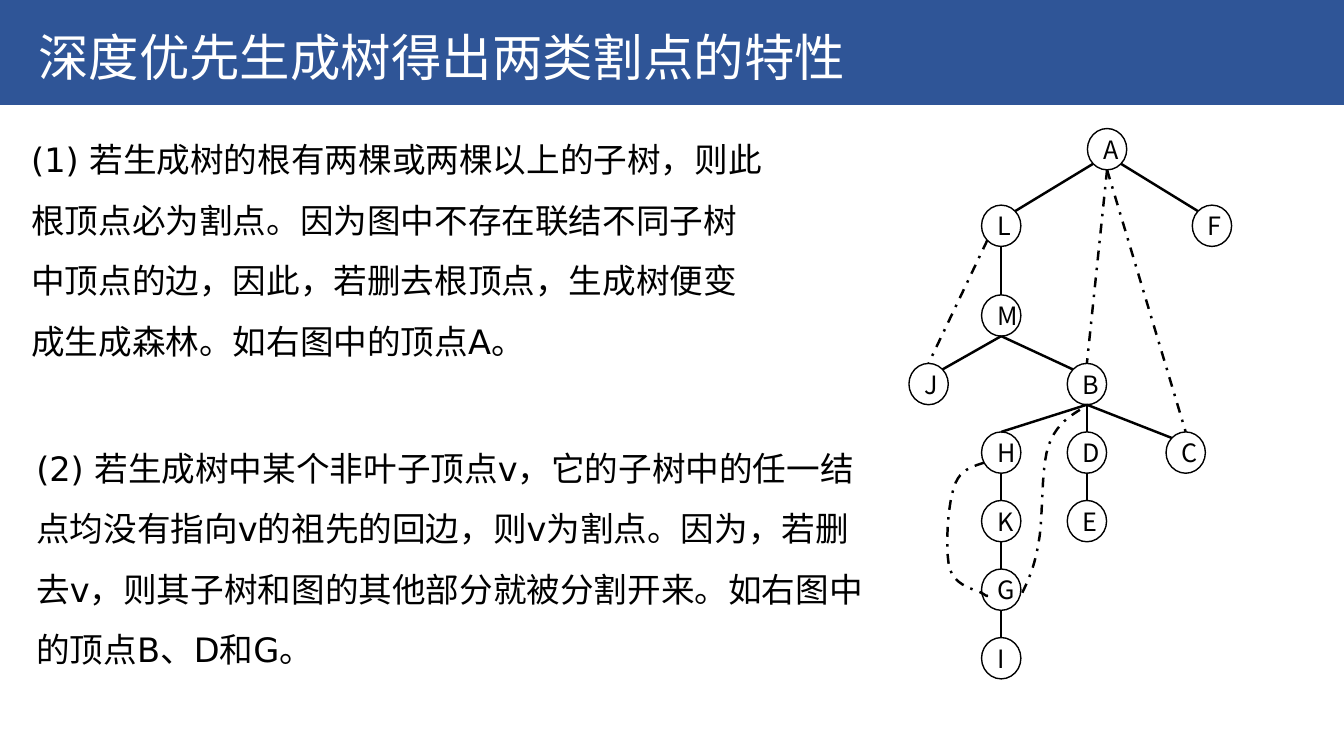
from dataclasses import dataclass
from math import sqrt

from lxml import etree
from pptx import Presentation
from pptx import util as u
from pptx.dml.color import RGBColor
from pptx.enum import dml, shapes, text
from pptx.oxml.ns import qn

# Content
TITLE = "深度优先生成树得出两类割点的特性"
ROOT_RULE = ("(1) 若生成树的根有两棵或两棵以上的子树，则此根顶点必为割点。"
             "因为图中不存在联结不同子树中顶点的边，因此，若删去根顶点，"
             "生成树便变成生成森林。如右图中的顶点A。")
INNER_RULE = ("(2) 若生成树中某个非叶子顶点v，它的子树中的任一结点均没有指向v的祖先的回边，"
              "则v为割点。因为，若删去v，则其子树和图的其他部分就被分割开来。"
              "如右图中的顶点B、D和G。")

# Vertex: (column, row) in the tree grid
VERTICES = {
    "A": (3, 0), "B": (2, 3), "L": (1, 1), "F": (5, 1), "M": (1, 2), "J": (0, 3),
    "C": (4, 4), "H": (1, 4), "K": (1, 5), "G": (1, 6), "I": (1, 7),
    "D": (2, 4), "E": (2, 5),
}
# Edge: start vertex, side it leaves, end vertex, side it enters
TREE_EDGES = [
    ("A", "SW", "L", "NE"), ("A", "SE", "F", "NW"), ("L", "S", "M", "N"),
    ("M", "S", "J", "NE"), ("M", "S", "B", "NW"), ("B", "S", "H", "N"),
    ("H", "S", "K", "N"), ("K", "S", "G", "N"), ("G", "S", "I", "N"),
    ("D", "S", "E", "N"), ("B", "S", "D", "N"), ("B", "S", "C", "NW"),
]
BACK_EDGES = [("L", "SW", "J", "N"), ("A", "S", "B", "N"), ("A", "S", "C", "N")]
# Curved back edges: start point, then cubic segments of three points each
BACK_CURVES = [
    [(9.76, 4.59), (9.64, 4.63), (9.51, 4.66), (9.46, 4.84),
     (9.4, 5.01), (9.37, 5.47), (9.42, 5.64),
     (9.47, 5.82), (9.69, 5.85), (9.75, 5.89),
     (9.81, 5.93), (9.79, 5.91), (9.77, 5.89)],
    [(10.14, 5.88), (10.2, 5.75), (10.26, 5.63), (10.3, 5.39),
     (10.35, 5.15), (10.32, 4.65), (10.4, 4.42),
     (10.48, 4.2), (10.62, 4.12), (10.77, 4.03)],
]


@dataclass(frozen=True)
class Theme:
    banner: RGBColor = RGBColor(0x2F, 0x55, 0x97)
    paper: RGBColor = RGBColor(255, 255, 255)
    ink: RGBColor = RGBColor(0, 0, 0)
    cjk: str = "Noto Sans CJK SC"
    latin: str = "DejaVu Sans"
    title_size: int = 36
    body_size: int = 24
    vertex_size: int = 18
    outline: float = 1
    edge: float = 1.75


THEME = Theme()

# Grid, in inches
WIDTH, HEIGHT, BANNER = 13.33, 7.5, 1.04
COLUMNS = [9.21, 9.93, 10.78, 10.98, 11.76, 12.02]
ROW_STEP = 0.68
ROWS = [1.48, 2.24, 3.13] + [3.81 + ROW_STEP * step for step in range(5)]
NODE_W, NODE_H = 0.39, 0.41
DIAGONAL = 1 / sqrt(2)
SIDES = {"N": (0, -1), "S": (0, 1), "NE": (DIAGONAL, -DIAGONAL),
         "NW": (-DIAGONAL, -DIAGONAL), "SE": (DIAGONAL, DIAGONAL),
         "SW": (-DIAGONAL, DIAGONAL)}
CURVE_STEPS = 10


def inches(*values):
    return [u.Inches(value) for value in values]


def write(box, words, size, font, color, align=text.PP_ALIGN.LEFT,
          anchor=text.MSO_ANCHOR.TOP, spacing=1.0):
    frame = box.text_frame
    frame.word_wrap = True
    frame.auto_size = text.MSO_AUTO_SIZE.NONE
    frame.vertical_anchor = anchor
    para = frame.paragraphs[0]
    props = para._p.get_or_add_pPr()
    props.set("marL", "0")
    props.set("indent", "0")
    etree.SubElement(props, qn("a:buNone"))
    para.alignment, para.line_spacing, para.space_before = align, spacing, u.Pt(0)
    span = para.add_run()
    span.text = words
    span.font.size, span.font.name = u.Pt(size), font
    span.font.color.rgb = color
    east_asian = etree.SubElement(span._r.get_or_add_rPr(), qn("a:ea"))
    east_asian.set("typeface", THEME.cjk)


def place(box, left, top, width, height):
    box.left, box.top, box.width, box.height = inches(left, top, width, height)


def style_edge(edge, dashed):
    edge.line.color.rgb = THEME.ink
    edge.line.width = u.Pt(THEME.edge)
    if dashed:
        edge.line.dash_style = dml.MSO_LINE.DASH_DOT


def rim(vertex, side):
    column, row = VERTICES[vertex]
    dx, dy = SIDES[side]
    return COLUMNS[column] + dx * NODE_W / 2, ROWS[row] + dy * NODE_H / 2


def add_vertex(page, name, column, row):
    node = page.shapes.add_shape(
        shapes.MSO_SHAPE.OVAL,
        *inches(COLUMNS[column] - NODE_W / 2, ROWS[row] - NODE_H / 2, NODE_W, NODE_H))
    node.shadow.inherit = False
    node.fill.solid()
    node.fill.fore_color.rgb = THEME.paper
    node.line.color.rgb = THEME.ink
    node.line.width = u.Pt(THEME.outline)
    write(node, name, THEME.vertex_size, THEME.cjk, THEME.ink,
          align=text.PP_ALIGN.CENTER, anchor=text.MSO_ANCHOR.MIDDLE)


def add_edge(page, start, leave, end, enter, dashed=False):
    edge = page.shapes.add_connector(
        shapes.MSO_CONNECTOR.STRAIGHT, *inches(*rim(start, leave), *rim(end, enter)))
    style_edge(edge, dashed)
    etree.SubElement(edge._element.spPr, qn("a:effectLst"))


def cubic(points, t):
    weights = ((1 - t) ** 3, 3 * t * (1 - t) ** 2, 3 * t * t * (1 - t), t ** 3)
    return tuple(inches(*(sum(w * p[axis] for w, p in zip(weights, points))
                          for axis in (0, 1))))


def add_curve(page, points):
    track = [cubic(points[first:first + 4], step / CURVE_STEPS)
             for first in range(0, len(points) - 1, 3)
             for step in range(1, CURVE_STEPS + 1)]
    builder = page.shapes.build_freeform(*inches(*points[0]))
    builder.add_line_segments(track, close=False)
    curve = builder.convert_to_shape()
    curve.shadow.inherit = False
    curve.fill.background()
    style_edge(curve, dashed=True)


def main():
    deck = Presentation()
    deck.slide_width, deck.slide_height = inches(WIDTH, HEIGHT)
    page = deck.slides.add_slide(deck.slide_layouts.get_by_name("Two Content"))
    title, root_box, inner_box = list(page.placeholders)[:3]

    # Banner behind the title
    banner = page.shapes.add_shape(shapes.MSO_SHAPE.RECTANGLE,
                                   *inches(0, 0, WIDTH, BANNER))
    banner.shadow.inherit = False
    banner.fill.solid()
    banner.fill.fore_color.rgb = THEME.banner
    banner.line.fill.background()
    title._element.addprevious(banner._element)

    # Title and the two rules
    place(title, 0.28, 0.21, 8.9, 0.71)
    write(title, TITLE, THEME.title_size, THEME.cjk, THEME.paper)
    for box, words, area in ((root_box, ROOT_RULE, (0.21, 1.13, 7.52, 2.52)),
                             (inner_box, INNER_RULE, (0.26, 4.19, 8.59, 2.52))):
        place(box, *area)
        write(box, words, THEME.body_size, THEME.latin, THEME.ink, spacing=1.5)

    # Depth-first spanning tree
    for name, (column, row) in VERTICES.items():
        add_vertex(page, name, column, row)
    for edge in TREE_EDGES:
        add_edge(page, *edge)
    for edge in BACK_EDGES:
        add_edge(page, *edge, dashed=True)
    for points in BACK_CURVES:
        add_curve(page, points)

    deck.save("out.pptx")


if __name__ == "__main__":
    main()
